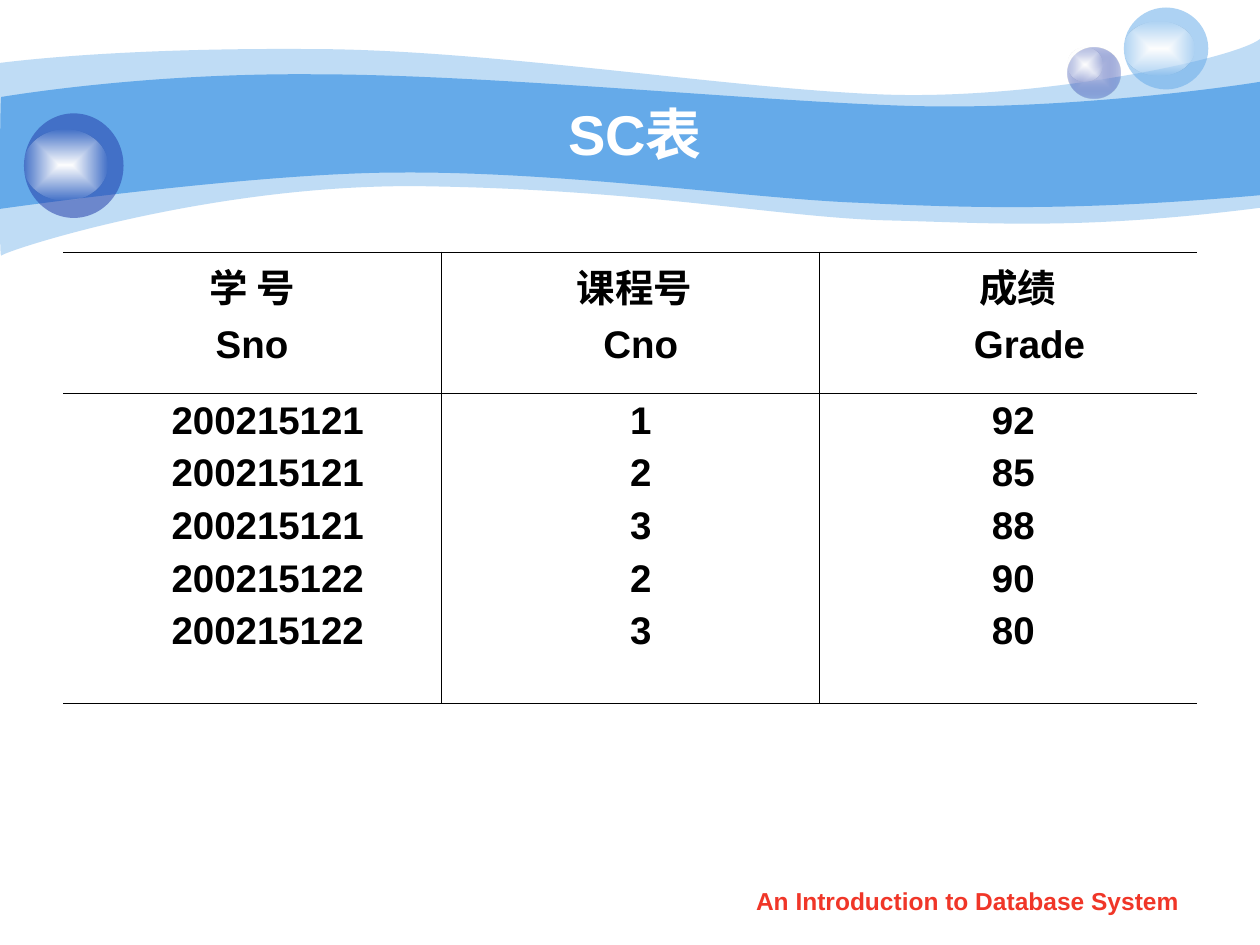
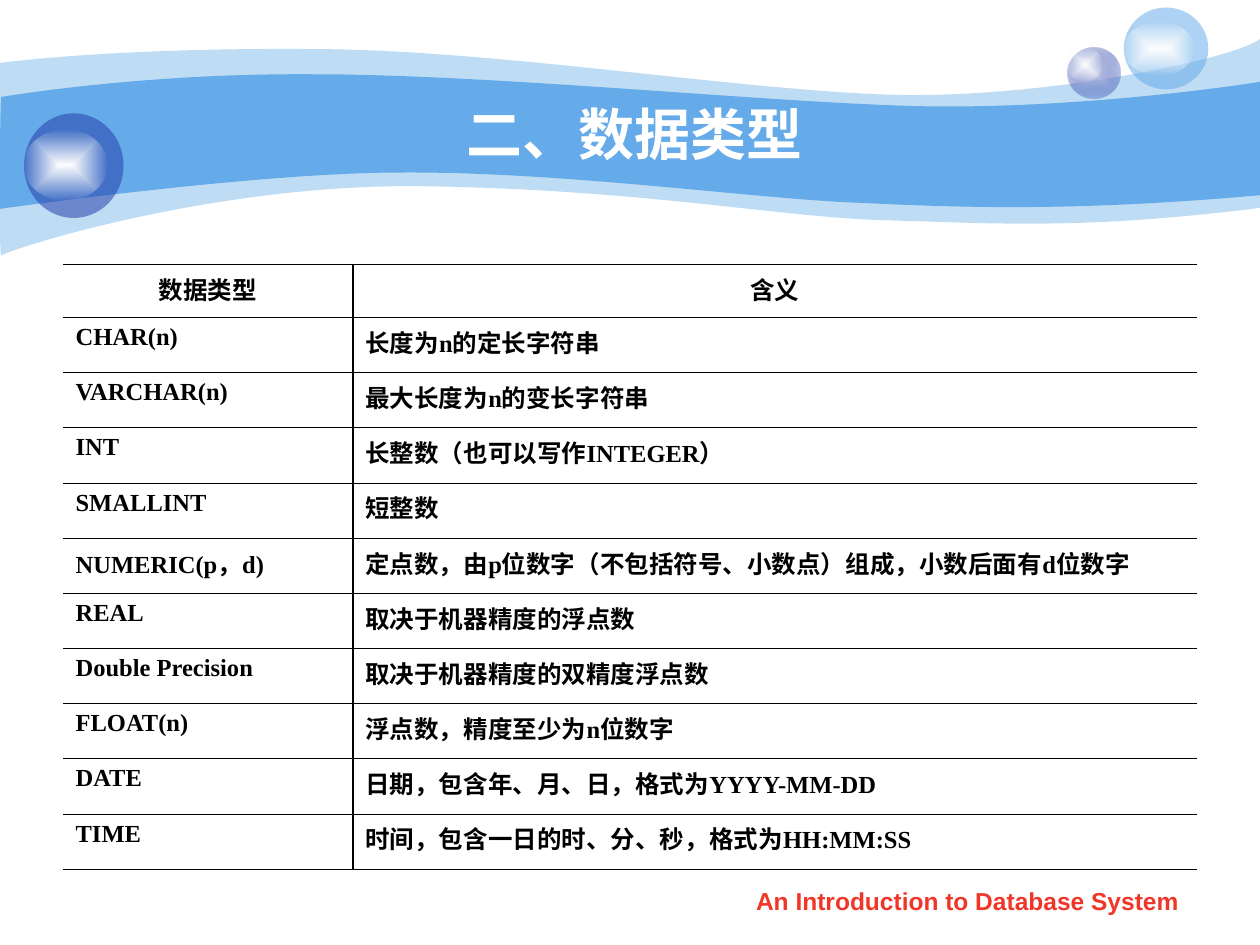
from dataclasses import dataclass
from itertools import chain

from pptx import Presentation
from pptx.dml.color import RGBColor
from pptx.enum.shapes import MSO_SHAPE
from pptx.enum.text import MSO_ANCHOR, PP_ALIGN
from pptx.oxml import parse_xml
from pptx.oxml.ns import nsdecls, qn
from pptx.util import Inches, Pt

WHITE = "FFFFFF"
BLACK = "000000"
SKY = "65AAE9"
NAVY = "233DA9"
LAVENDER = "C7CEE9"
RED = "F03628"
SANS = "Arial"
SERIF = "Times New Roman"
THIN = 0.45
FOOTER = "An Introduction to Database System"


@dataclass(frozen=True)
class Stop:
    color: str
    alpha: int = 100


@dataclass(frozen=True)
class Ball:
    box: tuple[float, float, float, float]
    stops: tuple[Stop, ...]


@dataclass(frozen=True)
class Wave:
    start: tuple[float, float]
    top: tuple[tuple[float, ...], ...]
    right: tuple[float, float]
    bottom: tuple[tuple[float, ...], ...]
    fill: Stop


@dataclass(frozen=True)
class Line:
    text: str
    indent: float = 0


@dataclass(frozen=True)
class Style:
    font: str
    size: float
    before: float
    divider: float


GLOW = (Stop(WHITE), Stop(WHITE, 0))

WAVES = (
    Wave(
        (0, 0.5),
        ((0.24, 0.47, 1.07, 0.38, 2.47, 0.39),
         (3.86, 0.39, 5.75, 0.7, 6.99, 0.75),
         (8.22, 0.8, 9.8, 0.47, 10, 0.31)),
        (10, 1.65),
        ((8.58, 1.83, 7.87, 1.77, 7.05, 1.75),
         (6.22, 1.73, 5.15, 1.51, 3.43, 1.48),
         (1.72, 1.44, 0.04, 1.99, 0.01, 2.03),
         (-0.01, 2.08, 0, 0.75, 0, 0.5)),
        Stop(SKY, 41),
    ),
    Wave(
        (0.01, 0.77),
        ((0.02, 0.77, 1.1, 0.58, 2.48, 0.59),
         (3.86, 0.59, 5.95, 0.8, 7.18, 0.84),
         (8.41, 0.88, 9.76, 0.69, 10, 0.65)),
        (10, 1.55),
        ((8.53, 1.68, 7.65, 1.65, 6.82, 1.61),
         (5.99, 1.58, 4.47, 1.36, 3.17, 1.37),
         (2.03, 1.37, -0.02, 1.66, -0.01, 1.66),
         (0, 1.66, 0, 0.77, 0.01, 0.77)),
        Stop(SKY),
    ),
)

BALLS = (
    Ball((8.47, 0.38, 0.42, 0.4), (Stop(LAVENDER), Stop(NAVY, 31))),
    Ball((8.47, 0.38, 0.28, 0.27), GLOW),
    Ball((8.92, 0.06, 0.67, 0.65), (Stop(SKY, 53),)),
    Ball((8.92, 0.17, 0.56, 0.43), GLOW),
    Ball((0.19, 0.9, 0.79, 0.83), (Stop(NAVY, 53),)),
    Ball((0.19, 1.03, 0.66, 0.56), GLOW),
)

GRADES = (
    ("200215121", "1", " 92"),
    ("200215121", "2", " 85"),
    ("200215121", "3", " 88"),
    ("200215122", "2", " 90"),
    ("200215122", "3", " 80"),
)
GRADE_HEADER = [
    [Line("学 号"), Line("Sno")],
    [Line(" 课程号"), Line("Cno", 0.17)],
    [Line("成绩", 0.15), Line("Grade", 0.34)],
]
GRADE_INDENTS = (0.25, 0.17, 0)

DATA_TYPES = (
    ("数据类型", "含义"),
    ("CHAR(n)", "长度为n的定长字符串"),
    ("VARCHAR(n)", "最大长度为n的变长字符串"),
    ("INT", "长整数（也可以写作INTEGER）"),
    ("SMALLINT", "短整数"),
    ("NUMERIC(p，d)", "定点数，由p位数字（不包括符号、小数点）组成，小数后面有d位数字"),
    ("REAL", "取决于机器精度的浮点数"),
    ("Double Precision", "取决于机器精度的双精度浮点数"),
    ("FLOAT(n)", "浮点数，精度至少为n位数字"),
    ("DATE", "日期，包含年、月、日，格式为YYYY-MM-DD"),
    ("TIME", "时间，包含一日的时、分、秒，格式为HH:MM:SS"),
)


def rgb(color: str) -> RGBColor:
    return RGBColor.from_string(color)


def set_font(p, font: str, size: float, color: str) -> None:
    p.font.name = font
    p.font.size = Pt(size)
    p.font.bold = True
    p.font.color.rgb = rgb(color)


def color_xml(stop: Stop) -> str:
    return f'<a:srgbClr val="{stop.color}"><a:alpha val="{stop.alpha * 1000}"/></a:srgbClr>'


def paint(shape, stops: tuple[Stop, ...]) -> None:
    shape.shadow.inherit = False
    shape.line.fill.background()
    shape.fill.background()
    if len(stops) == 1:
        xml = f'<a:solidFill {nsdecls("a")}>{color_xml(stops[0])}</a:solidFill>'
    else:
        first, last = map(color_xml, stops)
        xml = (
            f'<a:gradFill {nsdecls("a")} rotWithShape="1"><a:gsLst>'
            f'<a:gs pos="0">{first}</a:gs><a:gs pos="100000">{last}</a:gs></a:gsLst>'
            '<a:path path="rect"><a:fillToRect l="50000" t="50000" r="50000" b="50000"/>'
            '</a:path></a:gradFill>'
        )
    sppr = shape._element.spPr
    sppr.replace(sppr.find(qn("a:noFill")), parse_xml(xml))


def bend(lines: list) -> None:
    for i in range(0, len(lines), 3):
        curve = parse_xml(f'<a:cubicBezTo {nsdecls("a")}/>')
        lines[i].addprevious(curve)
        for line in lines[i:i + 3]:
            curve.append(line[0])
            line.getparent().remove(line)


def add_wave(s, wave: Wave) -> None:
    numbers = list(chain(*wave.top, wave.right, *wave.bottom))
    points = [tuple(map(Inches, xy)) for xy in zip(numbers[::2], numbers[1::2])]
    builder = s.shapes.build_freeform(*map(Inches, wave.start))
    builder.add_line_segments(points, close=True)
    sp = builder.convert_to_shape()
    lines = list(sp._element.iter(qn("a:lnTo")))
    corner = 3 * len(wave.top)
    bend(lines[:corner])
    bend(lines[corner + 1:corner + 1 + 3 * len(wave.bottom)])
    paint(sp, (wave.fill,))


def add_text(s, box, text: str, size: float, color: str, anchor) -> None:
    tf = s.shapes.add_textbox(*map(Inches, box)).text_frame
    tf.word_wrap = True
    tf.vertical_anchor = anchor
    p = tf.paragraphs[0]
    p.text = text
    p.alignment = PP_ALIGN.CENTER
    set_font(p, SANS, size, color)


def add_base(prs, title: str):
    s = prs.slides.add_slide(prs.slide_layouts[6])
    for wave in WAVES:
        add_wave(s, wave)
    for ball in BALLS:
        sp = s.shapes.add_shape(MSO_SHAPE.OVAL, *map(Inches, ball.box))
        paint(sp, ball.stops)
    add_text(s, (5.71, 6.98, 3.94, 0.35), FOOTER, 14, RED, MSO_ANCHOR.TOP)
    add_text(s, (1, 0.75, 8.08, 0.62), title, 32, WHITE, MSO_ANCHOR.MIDDLE)
    return s


def set_borders(cell, widths: dict[str, float]) -> None:
    tcpr = cell._tc.get_or_add_tcPr()
    for i, (side, width) in enumerate(widths.items()):
        fill = f'<a:solidFill><a:srgbClr val="{BLACK}"/></a:solidFill>' if width else "<a:noFill/>"
        tcpr.insert(i, parse_xml(
            f'<a:ln{side} {nsdecls("a")} w="{Pt(width)}">{fill}</a:ln{side}>'
        ))


def fill_cell(cell, lines: list[Line], style: Style, align) -> None:
    tf = cell.text_frame
    for i, line in enumerate(lines):
        p = tf.add_paragraph() if i else tf.paragraphs[0]
        p.text = line.text
        p.alignment = align
        p.space_before = Pt(style.before)
        set_font(p, style.font, style.size, BLACK)
        if line.indent:
            p._p.get_or_add_pPr().set("marL", str(Inches(line.indent)))


def add_grid(s, top: float, widths, heights, rows, aligns, style: Style) -> None:
    table = s.shapes.add_table(
        len(heights), len(widths),
        Inches(0.5), Inches(top), Inches(sum(widths)), Inches(sum(heights)),
    ).table
    table.first_row = table.horz_banding = False
    for column, width in zip(table.columns, widths):
        column.width = Inches(width)
    for row, height, contents, align in zip(table.rows, heights, rows, aligns):
        row.height = Inches(height)
        for c, (cell, lines) in enumerate(zip(row.cells, contents)):
            fill_cell(cell, lines, style, align)
            cell.fill.background()
            set_borders(cell, {
                "L": style.divider if c else 0,
                "R": style.divider if c < len(widths) - 1 else 0,
                "T": THIN,
                "B": THIN,
            })


def grades_slide(prs) -> None:
    s = add_base(prs, "SC表")
    body = [
        [Line(value, indent) for value in values]
        for values, indent in zip(zip(*GRADES), GRADE_INDENTS)
    ]
    add_grid(s, 2, [3] * 3, [1.12, 2.46], [GRADE_HEADER, body],
             [PP_ALIGN.CENTER] * 2, Style(SANS, 22, 5.5, THIN))


def data_types_slide(prs) -> None:
    s = add_base(prs, "二、数据类型")
    count = len(DATA_TYPES) - 1
    header = 0.42
    rows = [[[Line(text)] for text in row] for row in DATA_TYPES]
    add_grid(s, 2.1, [2.3, 6.7], [header] + [(4.8 - header) / count] * count, rows,
             [PP_ALIGN.CENTER] + [PP_ALIGN.LEFT] * count, Style(SERIF, 14, 0, 1.08))


def main() -> None:
    prs = Presentation()
    prs.slide_width = Inches(10)
    prs.slide_height = Inches(7.5)
    grades_slide(prs)
    data_types_slide(prs)
    prs.save("out.pptx")


if __name__ == "__main__":
    main()
